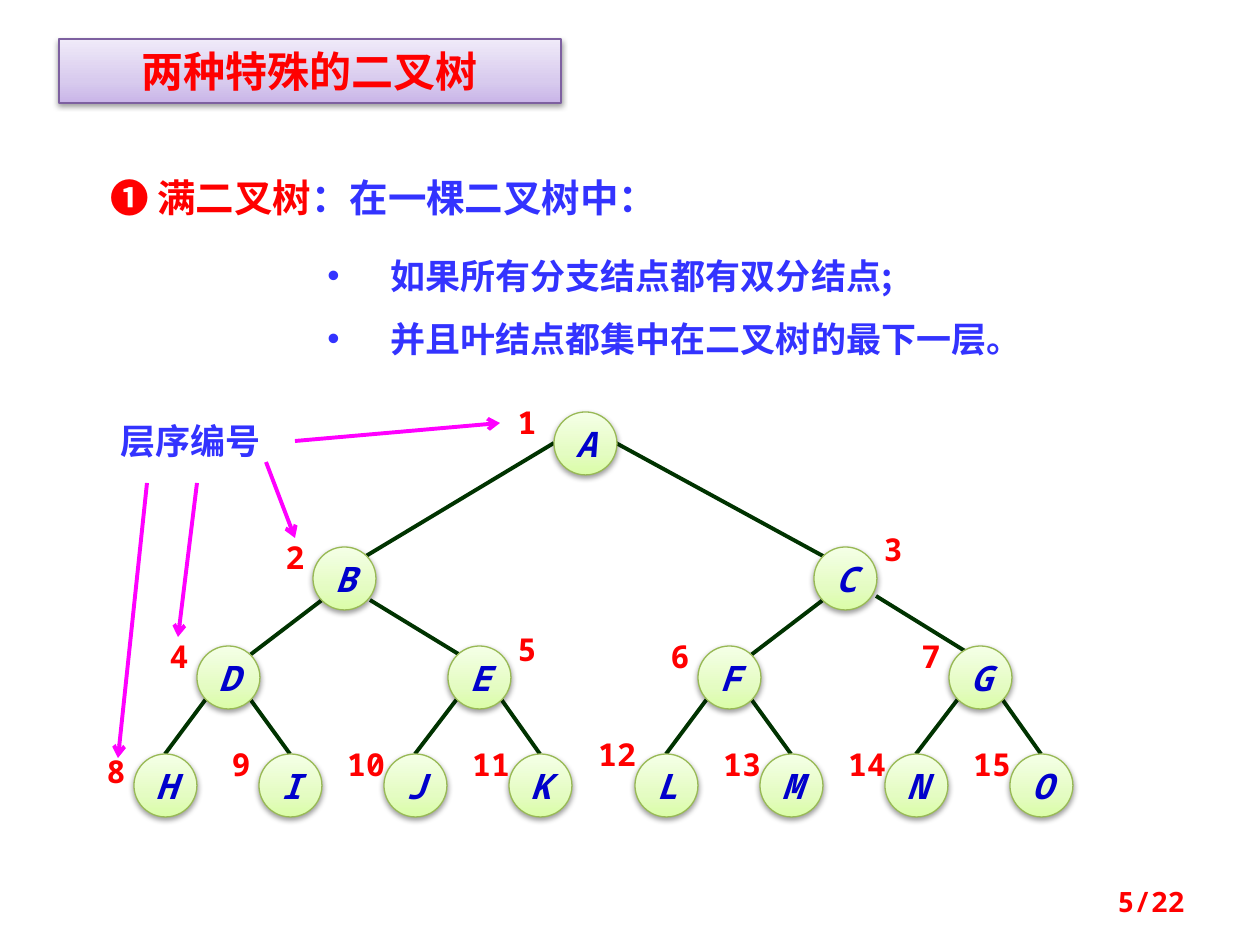
"""Build a slide that explains the full binary tree with level-order numbers."""
from lxml.etree import SubElement
from pptx import Presentation
from pptx.dml.color import RGBColor
from pptx.enum.shapes import MSO_CONNECTOR as Connector, MSO_SHAPE as Shape
from pptx.enum.text import MSO_ANCHOR as Anchor, MSO_AUTO_SIZE as AutoSize, PP_ALIGN as Align
from pptx.oxml import parse_xml
from pptx.oxml.ns import nsdecls, qn
from pptx.util import Emu, Pt

SCALE = 914400 / 126
SANS, MONO = "Noto Sans CJK SC", "Noto Sans Mono"
COLORS = {"red": "FF0000", "blue": "3333FF", "letter": "0000CC", "edge": "003300",
          "pointer": "FF00FF", "node_line": "98B955", "title_line": "7D60A0"}
NODE_FILL = ["DAFDA7", "E4FCC2", "F5FFE7"]
TITLE_FILL = ["C9B5E8", "D8CBEE", "F0EAF9"]

TITLE = "两种特殊的二叉树"
HEADING = [("❶ 满二叉树", "red"), ("：在一棵二叉树中：", "blue")]
CONDITIONS = ["如果所有分支结点都有双分结点;", "并且叶结点都集中在二叉树的最下一层。"]
POINTER_LABEL = "层序编号"
PAGE_NUMBER = "5/22"

LEVELS = [
    (412, "A", [585]),
    (547, "BC", [344, 845]),
    (646, "DEFG", [228 + 251 * i - i // 2 for i in range(4)]),
    (754, "HIJKLMNO", [165 + 501 * i // 4 for i in range(8)]),
]
NODE, RADIUS, DIAGONAL = 63, 31, 22
LABEL_SIZE = (54, 39)
LABEL_OFFSET = (-45, -9)
LABEL_OFFSETS = {"A": (-54, -9), "C": (52, -17), "E": (52, -16), "H": (-45, -2), "L": (-45, -19)}
EDGES_BY_CHILD = {"E": (370, 600, 460, 655), "G": (876, 596, 965, 651)}
POINTERS = [(295, 441, 500, 423), (266, 462, 295, 538), (197, 483, 178, 637), (147, 483, 118, 758)]


def px(value):
    return Emu(round(value * SCALE))


def write(shape, paragraphs, font=SANS, size=20, color="blue", italic=False, align=Align.LEFT,
          anchor=Anchor.TOP, grow=True, inset=None, spacing=None, bullet=None):
    frame = shape.text_frame
    frame.word_wrap = True
    frame.auto_size = AutoSize.SHAPE_TO_FIT_TEXT if grow else AutoSize.NONE
    frame.vertical_anchor = anchor
    if inset is not None:
        frame.margin_left = frame.margin_top = frame.margin_right = frame.margin_bottom = px(inset)
    for index, spans in enumerate(paragraphs):
        para = frame.add_paragraph() if index else frame.paragraphs[0]
        para.alignment = align
        if spacing:
            para.line_spacing = spacing
        if bullet:
            properties = para._p.get_or_add_pPr()
            properties.set("marL", str(px(63)))
            properties.set("indent", str(px(-63)))
            SubElement(properties, qn("a:buFont")).set("typeface", "Arial")
            SubElement(properties, qn("a:buChar")).set("char", bullet)
        for words, span_color in [(spans, color)] if isinstance(spans, str) else spans:
            span = para.add_run()
            span.text = words
            span.font.name, span.font.size = font, Pt(size)
            span.font.bold, span.font.italic = True, italic
            span.font.color.rgb = RGBColor.from_string(COLORS[span_color])
            SubElement(span._r.get_or_add_rPr(), qn("a:ea")).set("typeface", font)


def add_text(page, x, y, width, height, paragraphs, **style):
    box = page.shapes.add_textbox(px(x), px(y), px(width), px(height))
    write(box, paragraphs, **style)


def add_panel(page, kind, x, y, width, height, fill, line, words, **style):
    panel = page.shapes.add_shape(kind, px(x), px(y), px(width), px(height))
    panel.line.color.rgb = RGBColor.from_string(COLORS[line])
    panel.line.width = Pt(0.75)
    stops = "".join(f'<a:gs pos="{position}"><a:srgbClr val="{value}"/></a:gs>'
                    for position, value in zip((0, 35000, 100000), fill))
    properties = panel._element.spPr
    properties.insert(2, parse_xml(
        f'<a:gradFill {nsdecls("a")} rotWithShape="1"><a:gsLst>{stops}</a:gsLst>'
        '<a:lin ang="16200000" scaled="0"/></a:gradFill>'))
    properties.append(parse_xml(
        f'<a:effectLst {nsdecls("a")}><a:outerShdw blurRad="40000" dist="20000" dir="5400000" '
        'rotWithShape="0"><a:srgbClr val="000000"><a:alpha val="38000"/></a:srgbClr>'
        '</a:outerShdw></a:effectLst>'))
    write(panel, [words], align=Align.CENTER, **style)


def add_line(page, ends, color, arrow=False):
    line = page.shapes.add_connector(Connector.STRAIGHT, *map(px, ends))
    line.line.color.rgb = RGBColor.from_string(COLORS[color])
    line.line.width = Pt(2.25)
    if arrow:
        SubElement(line.line._get_or_add_ln(), qn("a:tailEnd")).set("type", "arrow")
    SubElement(line._element.spPr, qn("a:effectLst"))


def edge_ends(level, parent, child, side):
    x, y = parent[1], parent[2] + RADIUS
    child_x, child_y = child[1], child[2] + RADIUS
    start = (x + side * RADIUS, y) if level == 1 else (x + side * DIAGONAL, y + DIAGONAL)
    is_leaf = level == len(LEVELS) - 1
    end = (child_x, child[2]) if is_leaf else (child_x - side * DIAGONAL, child_y - DIAGONAL)
    return start + end


def add_tree(page):
    rows = [[(letter, x, top) for letter, x in zip(letters, centers)]
            for top, letters, centers in LEVELS]
    for level in range(1, len(rows)):
        for index, child in enumerate(rows[level]):
            side = 1 if index % 2 else -1
            ends = edge_ends(level, rows[level - 1][index // 2], child, side)
            add_line(page, EDGES_BY_CHILD.get(child[0], ends), "edge")
    for number, (letter, center, top) in enumerate(sum(rows, []), 1):
        left = center - RADIUS
        add_panel(page, Shape.OVAL, left, top, NODE, NODE, NODE_FILL, "node_line", letter,
                  font=MONO, color="letter", italic=True, anchor=Anchor.MIDDLE, grow=False)
        dx, dy = LABEL_OFFSETS.get(letter, LABEL_OFFSET)
        add_text(page, left + dx, top + dy, *LABEL_SIZE, [str(number)], font=MONO, size=18,
                 color="red", align=Align.CENTER, inset=0)


def main():
    deck = Presentation()
    deck.slide_width, deck.slide_height = px(1260), px(945)
    page = deck.slides.add_slide(deck.slide_layouts[6])
    add_text(page, 98, 168, 699, 59, [HEADING], size=22)
    add_tree(page)
    add_panel(page, Shape.RECTANGLE, 59, 39, 502, 64, TITLE_FILL, "title_line", TITLE,
              size=24, color="red")
    add_text(page, 315, 227, 816, 132, CONDITIONS, spacing=1.5, bullet="•")
    add_text(page, 108, 413, 186, 55, [POINTER_LABEL], font=MONO)
    for ends in POINTERS:
        add_line(page, ends, "pointer", arrow=True)
    add_text(page, 903, 876, 294, 50, [PAGE_NUMBER], font=MONO, size=16, color="red",
             align=Align.RIGHT, anchor=Anchor.MIDDLE, grow=False)
    deck.save("out.pptx")


if __name__ == "__main__":
    main()
